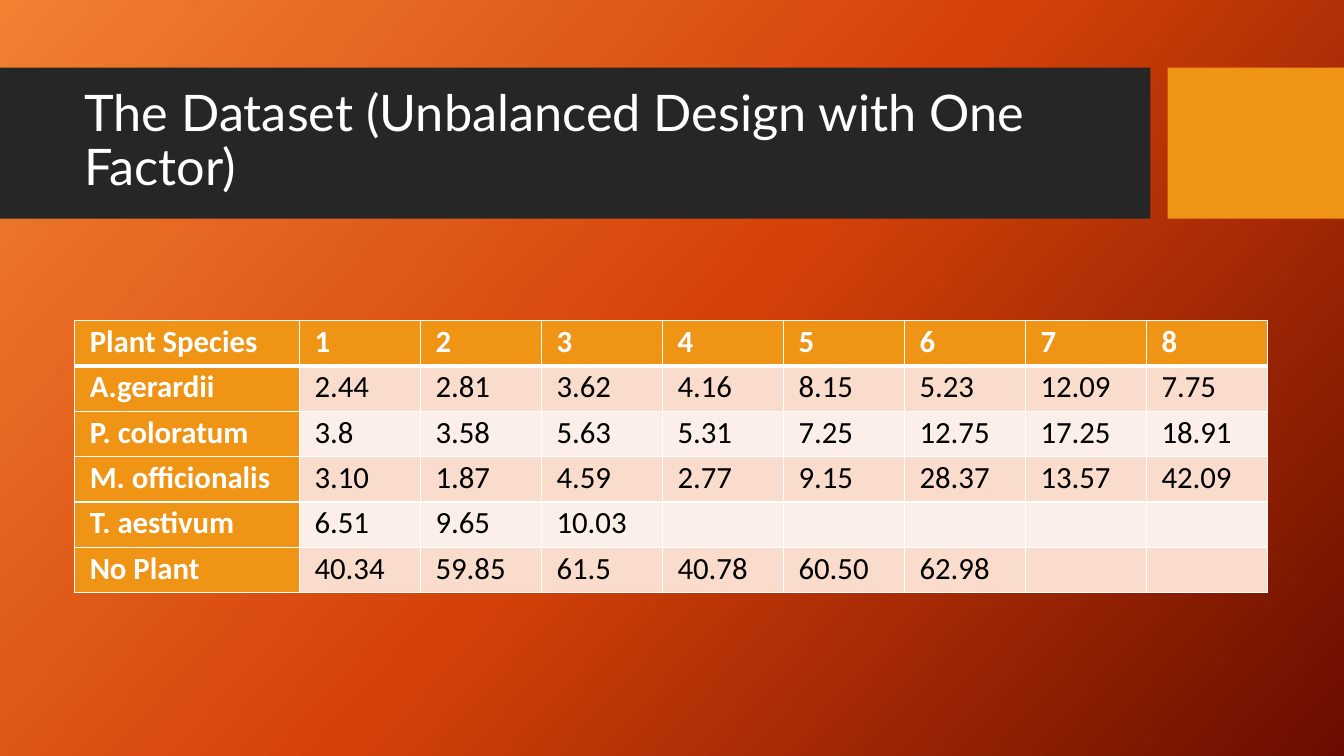
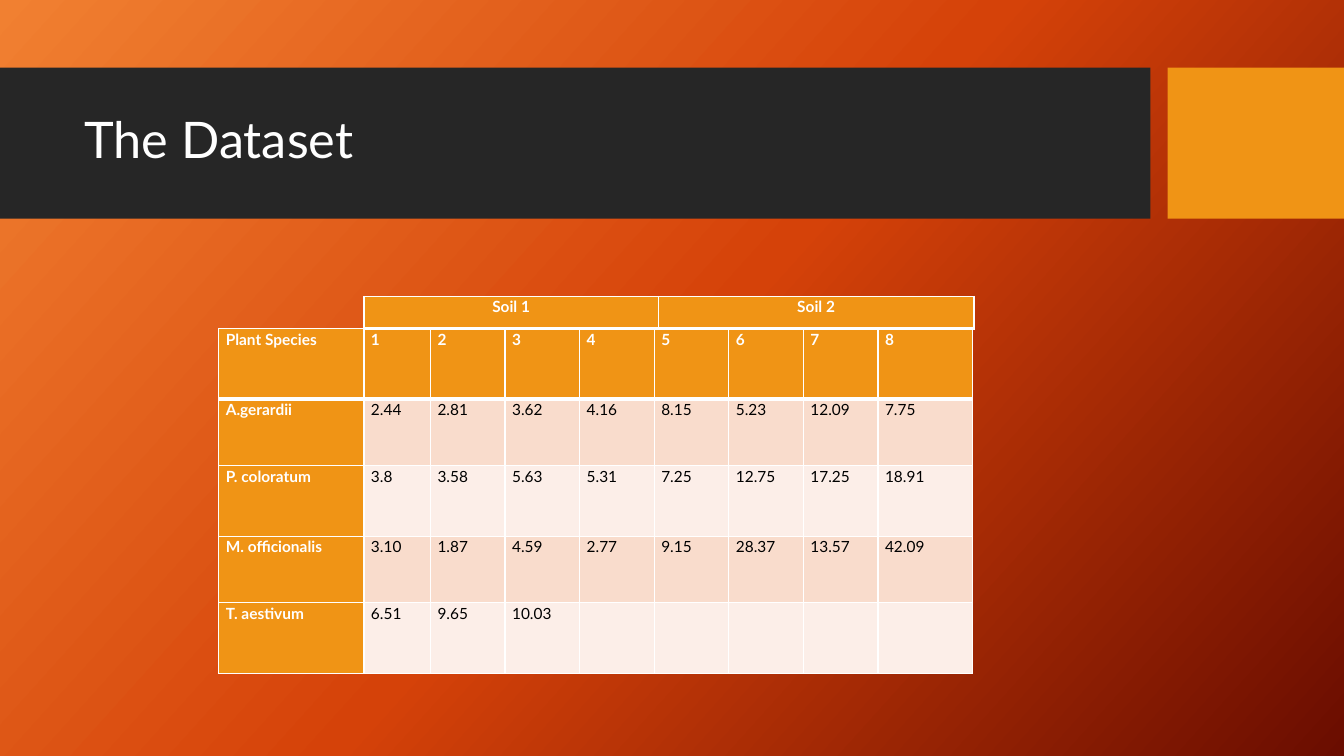
from copy import deepcopy
from dataclasses import dataclass

from lxml import etree
from pptx import Presentation, util as u
from pptx.dml.color import RGBColor
from pptx.enum import shapes, text
from pptx.oxml.ns import qn


@dataclass(frozen=True)
class Theme:
    # Colours
    gradient: tuple = ((0, "F18031"), (0.5, "D54209"), (1, "6A0D00"))
    gradient_angle: int = 42
    band: str = "262626"
    accent: str = "F09415"
    light: str = "FFFFFF"
    dark: str = "000000"
    stripes: tuple = ("F9DCCC", "FCEEE8")
    # Type
    title_font: str = "Lato"
    title_size: int = 36
    # Table rules, in points
    rule: int = 1
    header_rule: int = 3


HEADER = ["Plant Species"] + [str(n) for n in range(1, 9)]
DATASET = [
    ["A.gerardii", "2.44", "2.81", "3.62", "4.16", "8.15", "5.23", "12.09", "7.75"],
    ["P. coloratum", "3.8", "3.58", "5.63", "5.31", "7.25", "12.75", "17.25", "18.91"],
    ["M. officionalis", "3.10", "1.87", "4.59", "2.77", "9.15", "28.37", "13.57", "42.09"],
    ["T. aestivum", "6.51", "9.65", "10.03", "", "", "", "", ""],
    ["No Plant", "40.34", "59.85", "61.5", "40.78", "60.50", "62.98", "", ""],
]


def write_text(tf, content, *, font, size, color, bold=False, spacing=1.0,
               align=text.PP_ALIGN.LEFT):
    p = tf.paragraphs[0]
    p.alignment = align
    p.line_spacing = spacing
    r = p.add_run()
    r.text = content
    r.font.name = font
    r.font.size = u.Pt(size)
    r.font.bold = bold
    r.font.color.rgb = RGBColor.from_string(color)


class Deck:
    def __init__(self, theme):
        self.theme = theme
        self.prs = Presentation()
        self.prs.slide_width = u.Inches(13.33)
        self.prs.slide_height = u.Inches(7.5)
        self.s = None

    def slide(self, title):
        """Start a slide with the shared background, bands and title."""
        t = self.theme
        self.s = self.prs.slides.add_slide(self.prs.slide_layouts[6])
        self.background()
        self.rect(0, 0.67, 11.41, 1.5, t.band)
        self.rect(11.58, 0.67, 1.75, 1.5, t.accent)
        self.title(title)

    def background(self):
        t = self.theme
        fill = self.s.background.fill
        fill.gradient()
        fill.gradient_angle = 360 - t.gradient_angle
        stop_list = self.s.element.find(".//" + qn("a:gsLst"))
        stop_list.append(deepcopy(stop_list[0]))
        for stop, (position, color) in zip(fill.gradient_stops, t.gradient):
            stop.position = position
            stop.color.rgb = RGBColor.from_string(color)

    def rect(self, x, y, w, h, color):
        sp = self.s.shapes.add_shape(shapes.MSO_SHAPE.RECTANGLE, u.Inches(x),
                                     u.Inches(y), u.Inches(w), u.Inches(h))
        sp.shadow.inherit = False
        sp.fill.solid()
        sp.fill.fore_color.rgb = RGBColor.from_string(color)
        sp.line.fill.background()

    def title(self, content):
        t = self.theme
        sp = self.s.shapes.add_textbox(u.Inches(0.74), u.Inches(0.82),
                                       u.Inches(10.51), u.Inches(1.18))
        tf = sp.text_frame
        tf.word_wrap = True
        tf.vertical_anchor = text.MSO_ANCHOR.MIDDLE
        write_text(tf, content, font=t.title_font, size=t.title_size,
                   color=t.light, spacing=0.9)

    def table(self, x, y, cols, heights, rows, *, font, size, inset,
              align=text.PP_ALIGN.LEFT):
        """Add a table whose first row and, below it, first column are headings."""
        t = self.theme
        frame = self.s.shapes.add_table(
            len(rows), len(cols), u.Inches(x), u.Inches(y),
            u.Inches(sum(cols)), u.Inches(sum(heights)))
        tbl = frame.table
        tbl.first_row = tbl.horz_banding = False
        for column, width in zip(tbl.columns, cols):
            column.width = u.Inches(width)
        for row, height in zip(tbl.rows, heights):
            row.height = u.Inches(height)
        for i, row in enumerate(rows):
            for j, content in enumerate(row):
                heading = i == 0 or j == 0
                cell = tbl.cell(i, j)
                cell.margin_left = cell.margin_right = u.Inches(inset)
                cell.margin_top = cell.margin_bottom = 0
                self.borders(cell, top=t.header_rule if i == 1 else t.rule,
                             bottom=t.header_rule if i == 0 else t.rule)
                cell.fill.solid()
                cell.fill.fore_color.rgb = RGBColor.from_string(
                    t.accent if heading else t.stripes[(i - 1) % 2])
                if content:
                    write_text(cell.text_frame, content, font=font, size=size,
                               color=t.light if heading else t.dark,
                               bold=heading, spacing=1.07, align=align)

    def borders(self, cell, top, bottom):
        t = self.theme
        tc_pr = cell._tc.get_or_add_tcPr()
        widths = {"L": t.rule, "R": t.rule, "T": top, "B": bottom}
        for side, width in widths.items():
            ln = etree.SubElement(tc_pr, qn(f"a:ln{side}"), w=str(u.Pt(width)))
            fill = etree.SubElement(ln, qn("a:solidFill"))
            etree.SubElement(fill, qn("a:srgbClr"), val=t.light)


def main():
    deck = Deck(Theme())

    # Full dataset
    deck.slide("The Dataset (Unbalanced Design with One Factor)")
    rows = [HEADER] + DATASET
    deck.table(0.74, 3.18, [2.23] + [1.2] * 8, [0.45] * len(rows), rows,
               font="Calibri", size=22, inset=0.15)

    # Plant species only, grouped by soil
    deck.slide("The Dataset")
    small = dict(font="Lato", size=11, inset=0.07)
    deck.table(2.17, 3.26, [1.44, 0.66] + [0.74] * 6 + [0.94],
               [0.7, 0.66, 0.7, 0.66, 0.7], [HEADER] + DATASET[:-1], **small)
    deck.table(3.61, 2.94, [2.92, 3.13], [0.32], [["Soil 1", "Soil 2"]],
               align=text.PP_ALIGN.CENTER, **small)

    deck.prs.save("out.pptx")


if __name__ == "__main__":
    main()
